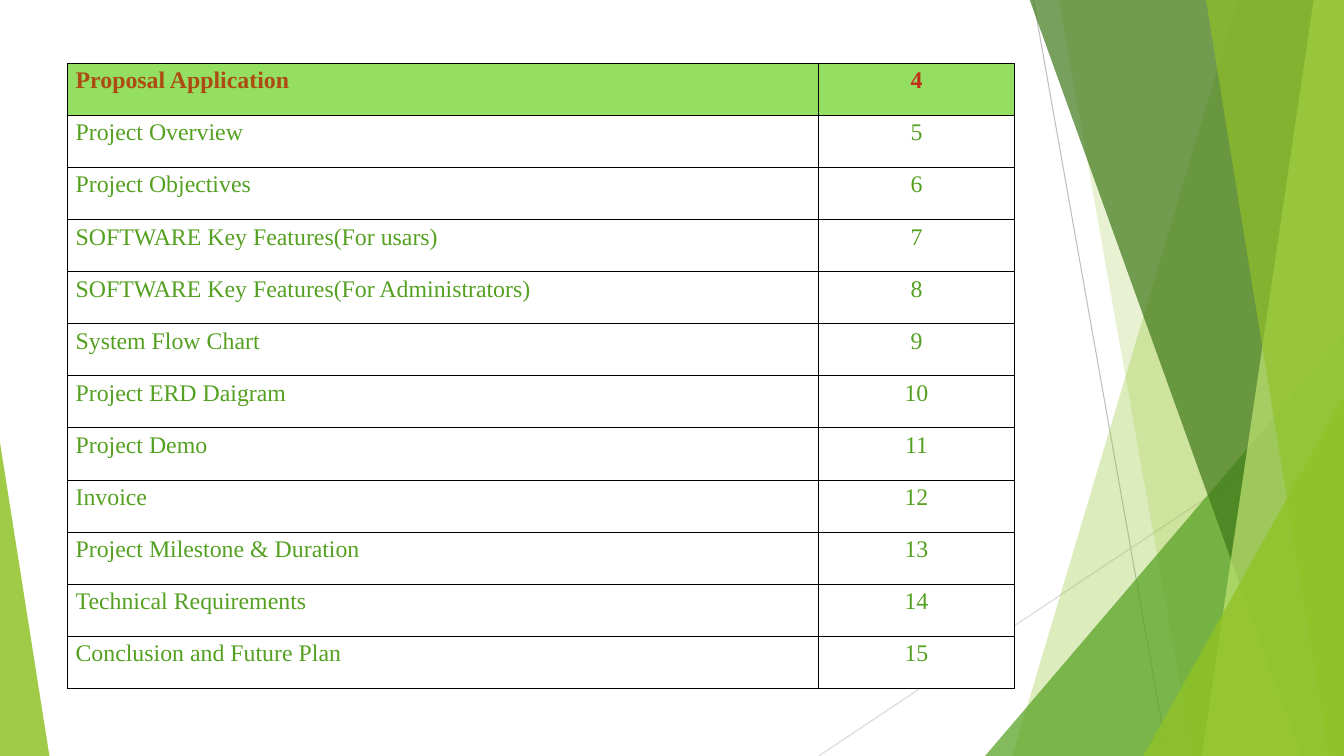
from lxml.etree import SubElement
from pptx import Presentation
from pptx.dml.color import RGBColor
from pptx.enum.shapes import MSO_CONNECTOR, MSO_SHAPE
from pptx.enum.text import PP_ALIGN
from pptx.oxml.ns import qn
from pptx.util import Inches, Pt

BLACK = RGBColor(0x00, 0x00, 0x00)
WHITE = RGBColor(0xFF, 0xFF, 0xFF)
GRAY = RGBColor(0xBF, 0xBF, 0xBF)
LIGHT_GRAY = RGBColor(0xD9, 0xD9, 0xD9)
LIME = RGBColor(0x90, 0xC2, 0x26)
PALE_LIME = RGBColor(0xC0, 0xE4, 0x74)
GREEN = RGBColor(0x54, 0xA0, 0x21)
DARK_GREEN = RGBColor(0x3F, 0x78, 0x19)
HEADER_GREEN = RGBColor(0x94, 0xDE, 0x61)
BROWN = RGBColor(0xAD, 0x4C, 0x12)
RED = RGBColor(0xC4, 0x2F, 0x1A)

WIDTH, HEIGHT = 13.33, 7.5
FIRST_PAGE = 4
TOPICS = [
    "Proposal Application",
    "Project Overview",
    "Project Objectives",
    "SOFTWARE Key Features(For usars)",
    "SOFTWARE Key Features(For Administrators)",
    "System Flow Chart",
    "Project ERD Daigram",
    "Project Demo",
    "Invoice",
    "Project Milestone & Duration",
    "Technical Requirements",
    "Conclusion and Future Plan",
]


def write_text(tf, text, font="Times New Roman", size=17, color=GREEN,
               bold=False, align=PP_ALIGN.LEFT):
    p = tf.paragraphs[0]
    p.alignment = align
    r = p.add_run()
    r.text = text
    r.font.name = font
    r.font.size = Pt(size)
    r.font.bold = bold
    r.font.color.rgb = color


class SlideBuilder:
    """Holds the current slide and the style its elements share."""

    line_width = Pt(0.75)
    border_width = Pt(0.8)
    margin_x, margin_y = Inches(0.08), Inches(0.04)

    def __init__(self, slide):
        self.s = slide

    def line(self, x1, y1, x2, y2, color):
        sp = self.s.shapes.add_connector(
            MSO_CONNECTOR.STRAIGHT, Inches(x1), Inches(y1), Inches(x2), Inches(y2))
        sp.line.color.rgb = color
        sp.line.width = self.line_width
        SubElement(sp._element.spPr, qn("a:effectLst"))

    def paint(self, sp, color, opacity):
        """Fill a shape with a see-through colour; opacity is in percent."""
        sp.shadow.inherit = False
        sp.line.fill.background()
        sp.fill.solid()
        sp.fill.fore_color.rgb = color
        clr = sp._element.spPr.find(qn("a:solidFill"))[0]
        SubElement(clr, qn("a:alpha")).set("val", str(opacity * 1000))

    def band(self, top_x, bottom_x, color, opacity):
        """Draw a full-height band from a slanted left edge to the slide's right edge."""
        top = -0.01
        corners = [(WIDTH, top), (WIDTH, HEIGHT), (bottom_x, HEIGHT)]
        builder = self.s.shapes.build_freeform(Inches(top_x), Inches(top))
        builder.add_line_segments([(Inches(x), Inches(y)) for x, y in corners])
        self.paint(builder.convert_to_shape(), color, opacity)

    def triangle(self, left, top, width, apex, color, opacity):
        """Draw a triangle standing on the slide's bottom edge."""
        sp = self.s.shapes.add_shape(
            MSO_SHAPE.ISOSCELES_TRIANGLE, Inches(left), Inches(top),
            Inches(width), Inches(HEIGHT - top))
        sp.adjustments[0] = apex
        self.paint(sp, color, opacity)

    def cell(self, cell, text, fill, **text_format):
        tc_pr = cell._tc.get_or_add_tcPr()
        for side in ("lnL", "lnR", "lnT", "lnB"):
            ln = SubElement(tc_pr, qn(f"a:{side}"), w=str(self.border_width))
            SubElement(SubElement(ln, qn("a:solidFill")),
                       qn("a:srgbClr"), val=str(BLACK))
        cell.fill.solid()
        cell.fill.fore_color.rgb = fill
        cell.margin_left = cell.margin_right = self.margin_x
        cell.margin_top = cell.margin_bottom = self.margin_y
        write_text(cell.text_frame, text, **text_format)

    def contents_table(self, left, top, col_widths, height):
        frame = self.s.shapes.add_table(
            len(TOPICS), len(col_widths), Inches(left), Inches(top),
            Inches(sum(col_widths)), Inches(height))
        table = frame.table
        for col, width in zip(table.columns, col_widths):
            col.width = Inches(width)
        for i, topic in enumerate(TOPICS):
            header = i == 0
            fill = HEADER_GREEN if header else WHITE
            self.cell(table.cell(i, 0), topic, fill, bold=header,
                      color=BROWN if header else GREEN)
            self.cell(table.cell(i, 1), str(FIRST_PAGE + i), fill, bold=header,
                      color=RED if header else GREEN, align=PP_ALIGN.CENTER)


def main():
    prs = Presentation()
    prs.slide_width, prs.slide_height = Inches(WIDTH), Inches(HEIGHT)
    page = SlideBuilder(prs.slides.add_slide(prs.slide_layouts[6]))

    page.line(10.25, 0, 11.58, HEIGHT, GRAY)
    page.line(WIDTH, 4.03, 8.12, HEIGHT, LIGHT_GRAY)
    page.band(12.28, 10.04, LIME, 30)
    page.band(10.5, 11.83, LIME, 20)
    page.triangle(9.77, 3.33, 3.56, 1, GREEN, 72)
    page.band(10.21, 12.91, DARK_GREEN, 70)
    page.band(13.03, 11.92, PALE_LIME, 70)
    page.band(11.96, 13.18, LIME, 65)
    page.triangle(11.34, 3.93, 1.99, 1, LIME, 80)
    page.triangle(0, 4.39, 0.49, 0, LIME, 85)

    page.contents_table(0.67, 0.63, [7.45, 1.94], 6.2)
    prs.save("out.pptx")


if __name__ == "__main__":
    main()
